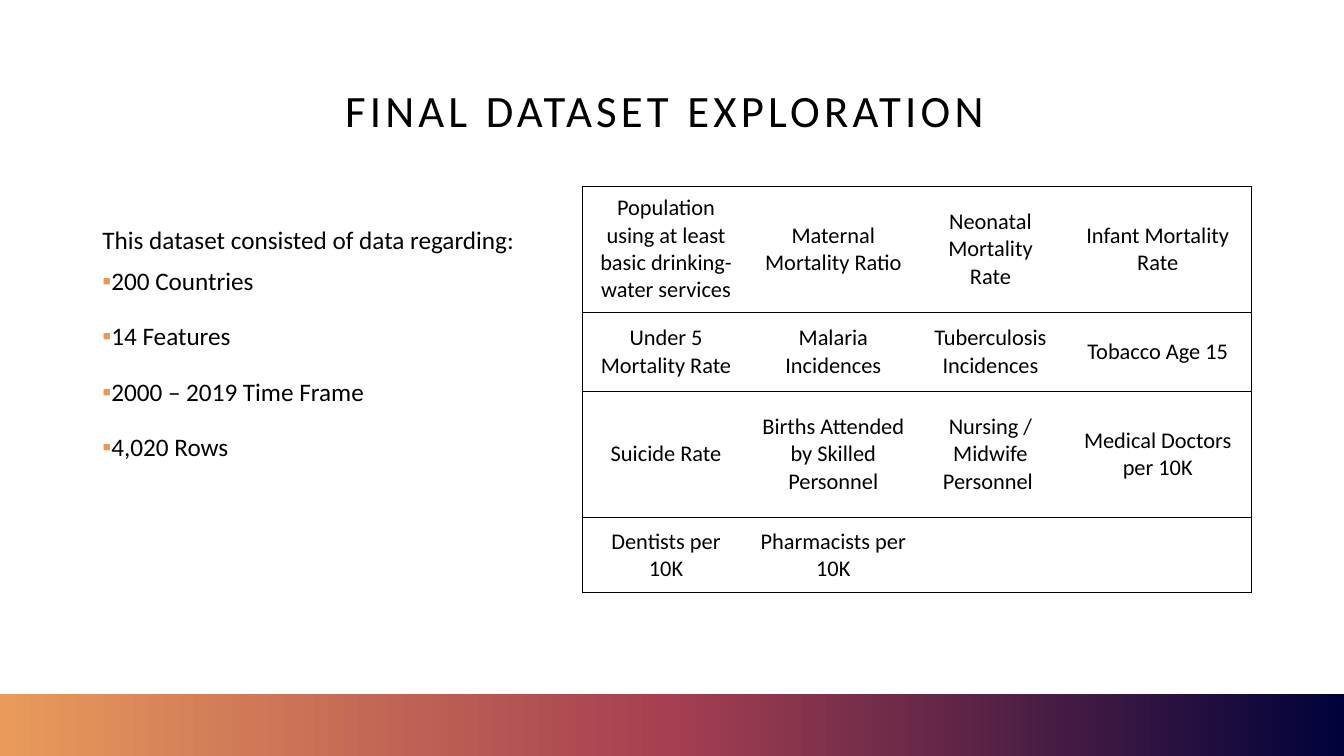
import copy
import dataclasses

import pptx
import pptx.dml.color
import pptx.enum.shapes
import pptx.enum.text
import pptx.oxml
import pptx.oxml.ns
import pptx.util

Pt = pptx.util.Pt
RGB = pptx.dml.color.RGBColor.from_string
qn = pptx.oxml.ns.qn
NS = pptx.oxml.ns.nsdecls("a")
CENTER = pptx.enum.text.PP_ALIGN.CENTER
MIDDLE = pptx.enum.text.MSO_ANCHOR.MIDDLE
NO_GRID_STYLE = "{2D5ABB26-0587-4C30-8999-92F81FD0307C}"


@dataclasses.dataclass(frozen=True)
class Theme:
    font: str = "Calibri"
    ink: str = "000000"
    bullet: str = "E89756"
    gradient: tuple = ("00023A", "A53F51", "E99A5B")
    title_size: int = 32
    body_size: int = 18
    cell_size: int = 16


THEME = Theme()

TITLE = "FINAL DATASET EXPLORATION "
INTRO = "This dataset consisted of data regarding:"
FACTS = ["200 Countries", "14 Features", "2000 – 2019 Time Frame", "4,020 Rows"]
FEATURES = [
    ["Population using at least basic drinking-water services",
     "Maternal Mortality Ratio", "Neonatal Mortality Rate",
     "Infant Mortality Rate"],
    ["Under 5 Mortality Rate", "Malaria Incidences",
     "Tuberculosis Incidences", "Tobacco Age 15"],
    ["Suicide Rate", "Births Attended by Skilled Personnel",
     "Nursing / Midwife Personnel ", "Medical Doctors per 10K"],
    ["Dentists per 10K", "Pharmacists per 10K", "", ""],
]
COLUMN_WIDTHS = [119.5, 119.5, 105, 134]
ROW_HEIGHTS = [90, 56.5, 90, 54]


def place(sp, left, top, width, height):
    sp.left, sp.top, sp.width, sp.height = map(Pt, (left, top, width, height))


def format_runs(p, size):
    for r in p.runs:
        r.font.name = THEME.font
        r.font.size = Pt(size)
        r.font.color.rgb = RGB(THEME.ink)


def add_bar(slide):
    """Add the gradient band along the foot of the slide."""
    sp = slide.shapes.add_shape(
        pptx.enum.shapes.MSO_SHAPE.RECTANGLE, 0, Pt(496), Pt(960), Pt(44))
    sp.shadow.inherit = False
    sp.line.fill.background()
    sp.fill.gradient()
    sp.fill.gradient_angle = 180
    stops = sp._element.spPr.find(".//" + qn("a:gsLst"))
    stops.insert(1, copy.deepcopy(stops[0]))
    for i, (stop, color) in enumerate(zip(sp.fill.gradient_stops, THEME.gradient)):
        stop.position = i / 2
        stop.color.rgb = RGB(color)


def fill_title(sp):
    place(sp, 66, 29, 828, 104)
    tf = sp.text_frame
    tf.text = TITLE
    tf.auto_size = pptx.enum.text.MSO_AUTO_SIZE.NONE
    tf.vertical_anchor = MIDDLE
    p = tf.paragraphs[0]
    p.alignment = CENTER
    p.line_spacing = 0.9
    format_runs(p, THEME.title_size)
    p.runs[0]._r.get_or_add_rPr().set("spc", "300")


def set_bullet(p):
    pPr = p._p.get_or_add_pPr()
    pPr.set("marL", "0")
    pPr.set("indent", str(-Pt(18)))
    for xml in (f'<a:buClr {NS}><a:srgbClr val="{THEME.bullet}"/></a:buClr>',
                f'<a:buChar {NS} char="▪"/>'):
        pPr.append(pptx.oxml.parse_xml(xml))


def set_no_bullet(p):
    pPr = p._p.get_or_add_pPr()
    pPr.set("marL", "0")
    pPr.set("indent", "0")
    pPr.append(pptx.oxml.parse_xml(f"<a:buNone {NS}/>"))


def fill_body(sp):
    place(sp, 66, 159, 410, 325)
    tf = sp.text_frame
    tf.text = "\n".join([INTRO, *FACTS])
    tf.auto_size = pptx.enum.text.MSO_AUTO_SIZE.NONE
    intro, *facts = tf.paragraphs
    set_no_bullet(intro)
    intro.space_before = intro.space_after = Pt(0)
    for p in facts:
        p.level = 1
        set_bullet(p)
        p.space_before = p.space_after = Pt(10)
    for p in tf.paragraphs:
        p.line_spacing = 0.9
        format_runs(p, THEME.body_size)


def set_borders(cell, sides):
    tcPr = cell._tc.get_or_add_tcPr()
    for side in sides:
        tcPr.append(pptx.oxml.parse_xml(
            f'<a:ln{side} {NS} w="{Pt(1)}"><a:solidFill>'
            f'<a:srgbClr val="{THEME.ink}"/></a:solidFill></a:ln{side}>'))


def add_feature_table(slide):
    rows, cols = len(FEATURES), len(FEATURES[0])
    frame = slide.shapes.add_table(
        rows, cols, Pt(416), Pt(133), Pt(sum(COLUMN_WIDTHS)), Pt(sum(ROW_HEIGHTS)))
    table = frame.table
    table.first_row = table.horz_banding = False
    table._tbl.tblPr.find(qn("a:tableStyleId")).text = NO_GRID_STYLE
    for column, width in zip(table.columns, COLUMN_WIDTHS):
        column.width = Pt(width)
    for row, height, texts in zip(table.rows, ROW_HEIGHTS, FEATURES):
        row.height = Pt(height)
        for i, (cell, text) in enumerate(zip(row.cells, texts)):
            cell.text = text
            cell.vertical_anchor = MIDDLE
            p = cell.text_frame.paragraphs[0]
            p.alignment = CENTER
            format_runs(p, THEME.cell_size)
            left = "L" if i == 0 else ""
            right = "R" if i == cols - 1 else ""
            set_borders(cell, left + right + "TB")
            cell.fill.background()


def main():
    prs = pptx.Presentation()
    prs.slide_width, prs.slide_height = Pt(960), Pt(540)
    slide = prs.slides.add_slide(prs.slide_layouts[1])
    fill_title(slide.shapes.title)
    fill_body(slide.placeholders[1])
    add_bar(slide)
    add_feature_table(slide)
    prs.save("out.pptx")


if __name__ == "__main__":
    main()
